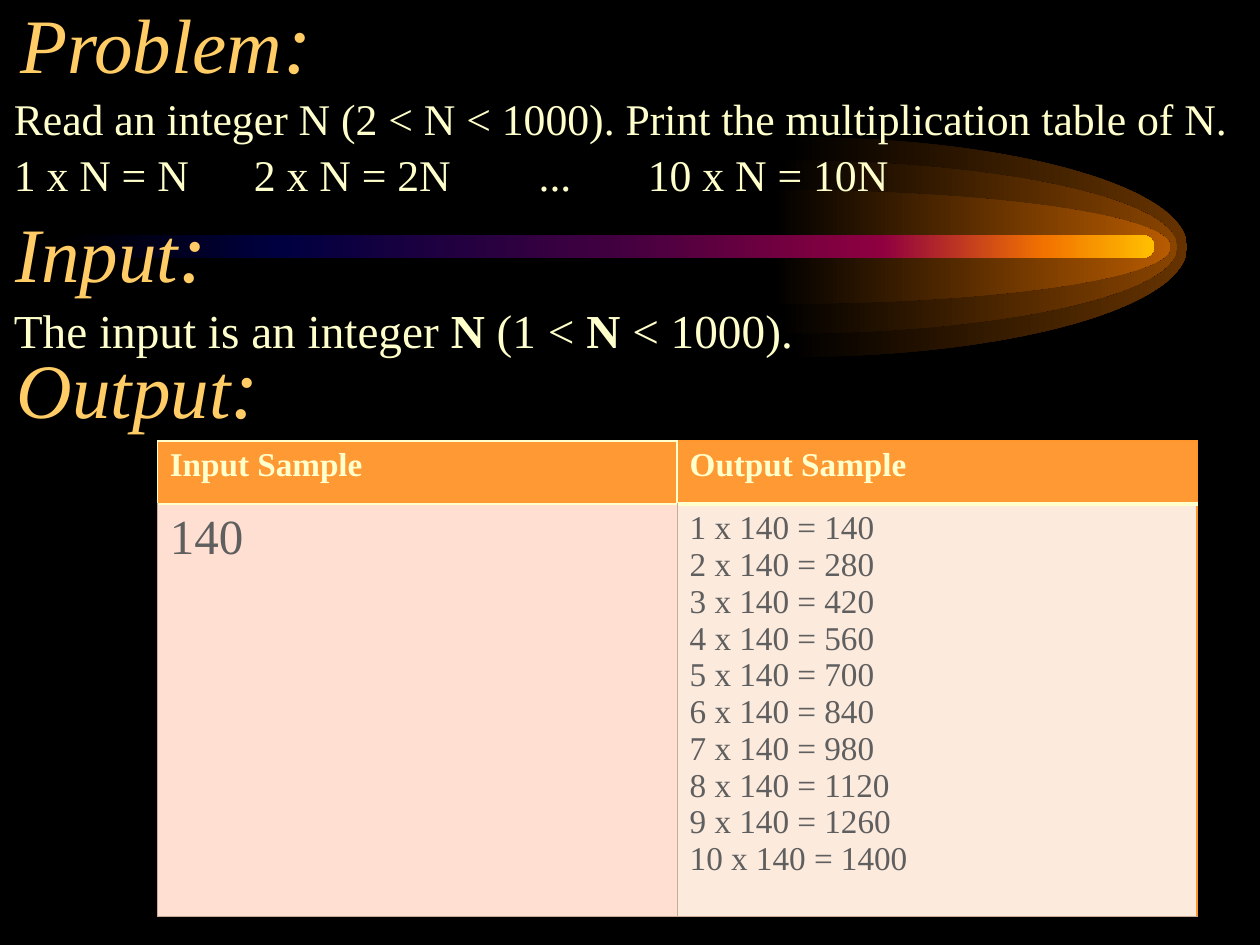
from lxml import etree
from pptx import Presentation
from pptx import util as u
from pptx.dml.color import RGBColor
from pptx.enum import shapes, text
from pptx.oxml.ns import qn

BLACK = RGBColor(0x00, 0x00, 0x00)
GOLD = RGBColor(0xFF, 0xCC, 0x66)
CREAM = RGBColor(0xFF, 0xFF, 0xCC)
ORANGE = RGBColor(0xFF, 0x99, 0x33)
EDGE = RGBColor(0xFE, 0x96, 0x2D)
TAN = RGBColor(0xC8, 0xAA, 0x96)
PEACH = RGBColor(0xFF, 0xDF, 0xD1)
PALE = RGBColor(0xFC, 0xEA, 0xDD)
GREY = RGBColor(0x5F, 0x5F, 0x5F)

ROUNDNESS = 0.55  # control-point distance of a quarter ellipse
GLOWS = [  # left, vertical radius, outer colour
    (15.9, 2.22, "663300"),
    (15.7, 1.75, "894400"),
    (15.57, 1.15, "B75B00"),
]
BAR_STOPS = [(0, "000000"), (20, "000040"), (50, "400040"),
             (75, "8F0040"), (90, "F27300"), (100, "FFBF00")]


def write(para, words, size=19, color=CREAM, bold=False, italic=False):
    """Add one formatted span to a paragraph."""
    span = para.add_run()
    span.text = words
    font = span.font
    font.name = "Times New Roman"
    font.size = u.Pt(size)
    font.color.rgb = color
    font.bold = bold
    font.italic = italic


def set_tabs(para, stops):
    tabs = etree.SubElement(para._p.get_or_add_pPr(), qn("a:tabLst"))
    for stop in stops:
        etree.SubElement(tabs, qn("a:tab"), pos=str(u.Cm(stop)), algn="l")


def set_borders(cell, **edges):
    """Draw cell edges; each of L, R, T, B is a (colour, points) pair."""
    props = cell._tc.get_or_add_tcPr()
    for index, side in enumerate("LRTB"):
        color, width = edges[side]
        line = etree.Element(qn("a:ln" + side), w=str(u.Pt(width)))
        fill = etree.SubElement(line, qn("a:solidFill"))
        etree.SubElement(fill, qn("a:srgbClr"), val=str(color))
        props.insert(index, line)


def bend(shape, controls):
    """Turn each straight segment into a curve with the given control points."""
    segments = list(shape._element.spPr.iter(qn("a:lnTo")))
    for segment, points in zip(segments, controls):
        curve = etree.Element(qn("a:cubicBezTo"))
        for x, y in points:
            etree.SubElement(curve, qn("a:pt"), x=str(int(x)), y=str(int(y)))
        curve.append(segment[0])
        segment.getparent().replace(segment, curve)


class Painter:
    def __init__(self, page):
        self.page = page

    def shade(self, shape, stops):
        """Fill a shape with a left-to-right gradient and no outline."""
        shape.shadow.inherit = False
        shape.line.fill.background()
        shape.fill.gradient()
        shape.fill.gradient_angle = 0
        stop_list = shape._element.spPr.find(qn("a:gradFill")).find(qn("a:gsLst"))
        for old in list(stop_list):
            stop_list.remove(old)
        for percent, color in stops:
            stop = etree.SubElement(stop_list, qn("a:gs"), pos=str(percent * 1000))
            etree.SubElement(stop, qn("a:srgbClr"), val=color)

    def glow(self, left, middle, width, radius, color):
        """Draw the right half of an ellipse fading out of black."""
        x, y, across, half = (u.Cm(size) for size in (left, middle, width, radius))
        builder = self.page.shapes.build_freeform(x, y - half)
        builder.add_line_segments([(x + across, y), (x, y + half)], close=True)
        shape = builder.convert_to_shape()
        near, lift = across * ROUNDNESS, half * ROUNDNESS
        bend(shape, [[(near, 0), (across, half - lift)],
                     [(across, half + lift), (near, 2 * half)]])
        self.shade(shape, [(0, "000000"), (100, color)])

    def bar(self, left, top, width, height, stops):
        shape = self.page.shapes.add_shape(
            shapes.MSO_SHAPE.ROUNDED_RECTANGLE,
            u.Cm(left), u.Cm(top), u.Cm(width), u.Cm(height))
        shape.adjustments[0] = 0.5
        self.shade(shape, stops)

    def box(self, left, top, width, height, anchor=text.MSO_ANCHOR.TOP):
        """Add a text box and return its first paragraph."""
        frame = self.page.shapes.add_textbox(
            u.Cm(left), u.Cm(top), u.Cm(width), u.Cm(height)).text_frame
        frame.word_wrap = True
        frame.vertical_anchor = anchor
        frame.margin_left = frame.margin_right = u.Cm(0.28)
        frame.margin_top = frame.margin_bottom = u.Cm(0.15)
        return frame.paragraphs[0]

    def heading(self, words, *place, **layout):
        para = self.box(*place, **layout)
        para.alignment = text.PP_ALIGN.RIGHT
        write(para, words, size=44, color=GOLD, italic=True)
        write(para, ":", size=49, color=GOLD, italic=True)

    def table(self, left, top, widths, heights):
        grid = self.page.shapes.add_table(
            len(heights), len(widths), u.Cm(left), u.Cm(top),
            u.Cm(sum(widths)), u.Cm(sum(heights))).table
        for column, width in zip(grid.columns, widths):
            column.width = u.Cm(width)
        for row, height in zip(grid.rows, heights):
            row.height = u.Cm(height)
        return grid

    def cell(self, cell, lines, fill, edges, **style):
        cell.fill.solid()
        cell.fill.fore_color.rgb = fill
        set_borders(cell, **edges)
        para = cell.text_frame.paragraphs[0]
        for index, line in enumerate(lines):
            if index:
                para.add_line_break()
            write(para, line, **style)


def main():
    deck = Presentation()
    deck.slide_width, deck.slide_height = u.Cm(25.4), u.Cm(19.05)
    page = deck.slides.add_slide(deck.slide_layouts[6])
    page.background.fill.solid()
    page.background.fill.fore_color.rgb = BLACK
    painter = Painter(page)

    for left, radius, color in GLOWS:
        painter.glow(left, 4.98, 8.03, radius, color)
    painter.bar(1.27, 4.74, 22, 0.46, BAR_STOPS)

    painter.heading("Problem", -1.9, -0.84, 8.46, 2.82,
                    anchor=text.MSO_ANCHOR.BOTTOM)
    task = painter.box(0, 1.7, 26.87, 2.51)
    set_tabs(task, [4.84, 10.58, 12.78])
    write(task, "Read an integer N (2 < N < 1000). Print the multiplication table of N.",
          size=25)
    task.add_line_break()
    write(task, "1 x N = N\t2 x N = 2N\t...\t10 x N = 10N", size=25)
    write(task, " ", size=27)

    limits = painter.box(0, 5.92, 18.21, 1.45)
    for words, bold in [("The input is an integer ", False), ("N ", True),
                        ("(1 < ", False), ("N ", True), ("< 1000).", False)]:
        write(limits, words, size=27, bold=bold)
    painter.heading("Input", -0.43, 3.81, 4.88, 3.2)
    painter.heading("Output", -0.84, 6.55, 6.35, 3.2)

    grid = painter.table(3.17, 8.89, [10.48, 10.48], [1.27, 8.3])
    thin, thick = (CREAM, 1), (CREAM, 2)
    orange, hair = (EDGE, 1), (TAN, 0.25)
    painter.cell(grid.cell(0, 0), ["Input Sample"], ORANGE,
                 dict(L=thin, R=thin, T=thin, B=thin), bold=True)
    painter.cell(grid.cell(0, 1), ["Output Sample"], ORANGE,
                 dict(L=thin, R=orange, T=orange, B=thick), bold=True)
    painter.cell(grid.cell(1, 0), ["140"], PEACH,
                 dict(L=hair, R=hair, T=thin, B=hair), size=28, color=GREY)
    products = [f"{factor} x 140 = {factor * 140}" for factor in range(1, 11)]
    painter.cell(grid.cell(1, 1), products, PALE,
                 dict(L=hair, R=orange, T=thick, B=hair), color=GREY)

    deck.save("out.pptx")


if __name__ == "__main__":
    main()
